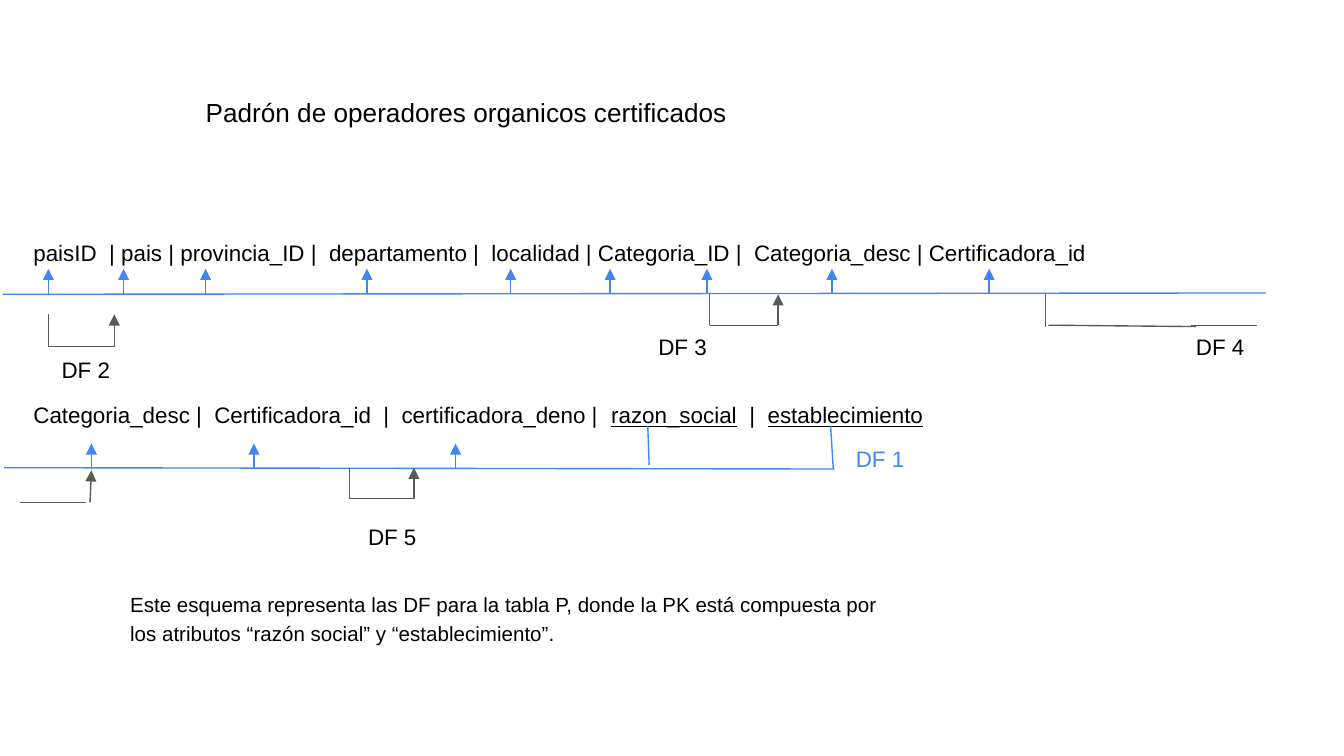
"""Build a slide of functional dependencies in a registry of organic operators."""
import pptx
import pptx.dml.color
import pptx.enum.shapes
import pptx.enum.text
import pptx.oxml
import pptx.oxml.ns
import pptx.util
from pptx.util import Inches

COLORS = {"text": "000000", "key": "4285F4", "partial": "595959"}
TITLE = "Padrón de operadores organicos certificados"
ATTRIBUTE_ROWS = [
    [("paisID  | pais | provincia_ID |  departamento |  localidad | "
      "Categoria_ID |  Categoria_desc | Certificadora_id", False)],
    [("Categoria_desc |  Certificadora_id  |  certificadora_deno |  ", False),
     ("razon_social", True), ("  |  ", False), ("establecimiento", True)],
]
NOTE = ("Este esquema representa las DF para la tabla P, donde la PK está compuesta por "
        "los atributos “razón social” y “establecimiento”.")
LABELS = [
    ("DF 1", 6.27, 3.21, "key"),
    ("DF 2", 0.36, 2.55, "text"),
    ("DF 3", 4.8, 2.38, "text"),
    ("DF 4", 8.8, 2.38, "text"),
    ("DF 5", 2.64, 3.79, "text"),
]
KEY_LINES = [
    (9.42, 2.18, 0.02, 2.19),
    (6.21, 3.49, 0.03, 3.48),
    (4.82, 3.17, 4.83, 3.46),
    (6.18, 3.17, 6.2, 3.49),
]
KEY_ARROWS = [
    (2.19, [0.36, 0.92, 1.53, 2.73, 3.8, 4.54, 5.26, 6.19, 7.36]),
    (3.49, [0.68, 1.89, 3.39]),
]
ARROW_HEIGHT = 0.19
BRACKETS = [(0.36, 0.85, 2.34, 2.58), (5.28, 5.79, 2.19, 2.42), (2.6, 3.08, 3.48, 3.71)]
SPLIT_LINES = [
    (7.78, 2.19, 7.78, 2.43),
    (7.8, 2.42, 8.9, 2.43),
    (8.86, 2.42, 9.35, 2.42),
    (0.15, 3.74, 0.64, 3.74),
]
SPLIT_ARROW = (0.67, 3.74, 0.68, 3.5)


def rgb(name):
    return pptx.dml.color.RGBColor.from_string(COLORS[name])


def format_text(shape, size, color="text"):
    frame = shape.text_frame
    frame.word_wrap = True
    frame.auto_size = pptx.enum.text.MSO_AUTO_SIZE.NONE
    frame.vertical_anchor = pptx.enum.text.MSO_ANCHOR.TOP
    frame.margin_left = frame.margin_right = Inches(0.1)
    frame.margin_top = frame.margin_bottom = Inches(0.1)
    for paragraph in frame.paragraphs:
        paragraph.alignment = pptx.enum.text.PP_ALIGN.LEFT
        paragraph.font.name = "Arial"
        paragraph.font.size = pptx.util.Pt(size)
        paragraph.font.color.rgb = rgb(color)


def add_text(slide, text, left, top, width, height, size, color="text"):
    shape = slide.shapes.add_textbox(*map(Inches, (left, top, width, height)))
    shape.text_frame.text = text
    format_text(shape, size, color)
    return shape


def add_line(slide, points, color, arrow=False):
    connector = slide.shapes.add_connector(
        pptx.enum.shapes.MSO_CONNECTOR.STRAIGHT, *map(Inches, points))
    connector.line.color.rgb = rgb(color)
    connector.line.width = pptx.util.Pt(0.75)
    if arrow:
        tail = pptx.oxml.parse_xml(
            f'<a:tailEnd {pptx.oxml.ns.nsdecls("a")} type="triangle"/>')
        connector.line._get_or_add_ln().append(tail)
    effects = pptx.oxml.parse_xml(f'<a:effectLst {pptx.oxml.ns.nsdecls("a")}/>')
    connector._element.spPr.append(effects)


def add_attributes(slide):
    shape = add_text(slide, "", 0.15, 1.68, 9.78, 1.62, 12)
    frame = shape.text_frame
    for index, row in enumerate(ATTRIBUTE_ROWS):
        paragraph = frame.add_paragraph() if index else frame.paragraphs[0]
        paragraph.space_before = pptx.util.Pt(72.5 if index else 0)
        for text, underlined in row:
            run = paragraph.add_run()
            run.text = text
            if underlined:
                run.font.underline = True
    format_text(shape, 12)


def add_dependencies(slide):
    for points in KEY_LINES:
        add_line(slide, points, "key")
    for base, positions in KEY_ARROWS:
        for x in positions:
            add_line(slide, (x, base, x, base - ARROW_HEIGHT), "key", arrow=True)
    for left, right, top, bottom in BRACKETS:
        add_line(slide, (left, top, left, bottom), "partial")
        add_line(slide, (left, bottom, right, bottom), "partial")
        add_line(slide, (right, bottom, right, top), "partial", arrow=True)
    for points in SPLIT_LINES:
        add_line(slide, points, "partial")
    add_line(slide, SPLIT_ARROW, "partial", arrow=True)


def main():
    presentation = pptx.Presentation()
    presentation.slide_width = Inches(10)
    presentation.slide_height = Inches(10 * 9 / 16)
    slide = presentation.slides.add_slide(presentation.slide_layouts[5])
    title = slide.shapes.title
    title.left, title.top, title.width, title.height = map(Inches, (1.43, 0.62, 4.45, 0.44))
    title.text_frame.text = TITLE
    format_text(title, 14)
    add_attributes(slide)
    add_dependencies(slide)
    for text, left, top, color in LABELS:
        add_text(slide, text, left, top, 0.7, 0.4, 12, color)
    note = add_text(slide, NOTE, 0.87, 4.28, 5.83, 0.6, 11)
    note.text_frame.paragraphs[0].line_spacing = 1.15
    presentation.save("out.pptx")


main()
